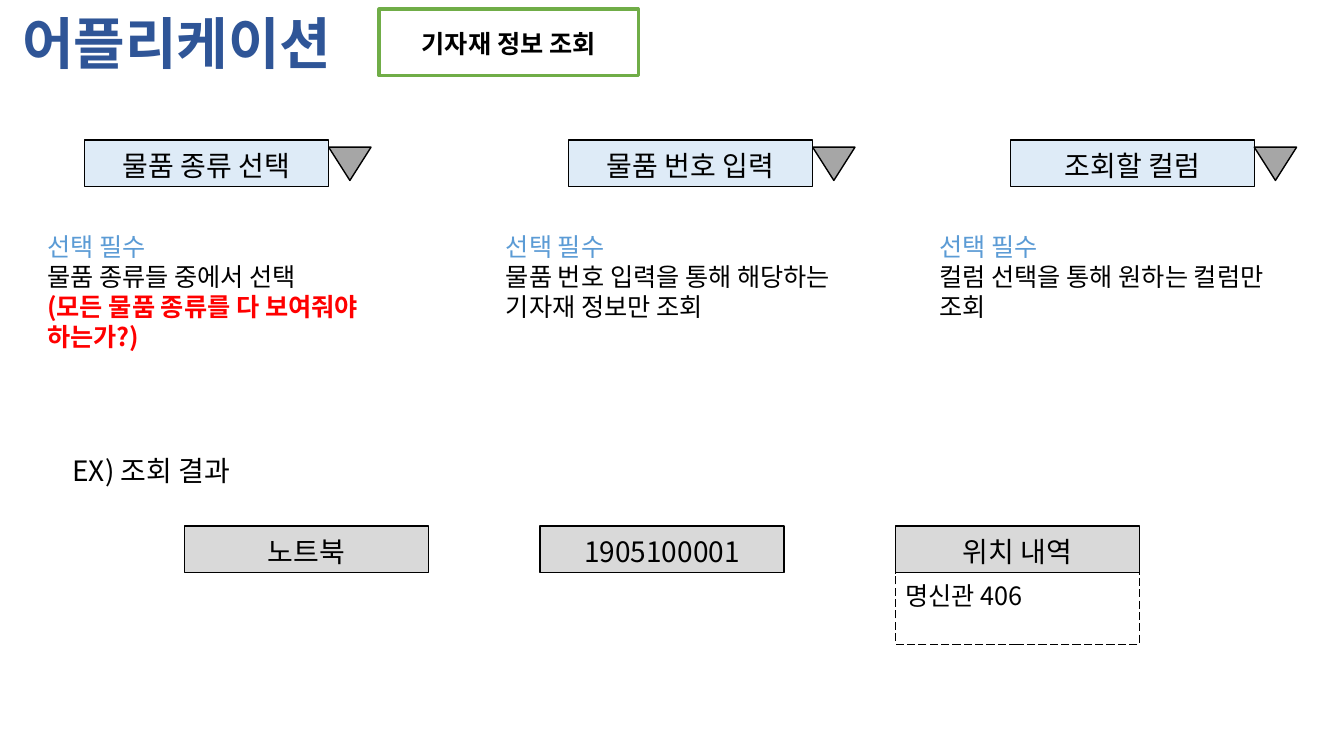
from lxml.etree import SubElement
from pptx import Presentation
from pptx.dml.color import RGBColor
from pptx.enum.dml import MSO_LINE
from pptx.enum.shapes import MSO_SHAPE
from pptx.enum.text import MSO_ANCHOR, MSO_AUTO_SIZE, PP_ALIGN
from pptx.oxml.ns import qn
from pptx.util import Inches, Pt

BLACK = RGBColor(0x00, 0x00, 0x00)
WHITE = RGBColor(0xFF, 0xFF, 0xFF)
NAVY = RGBColor(0x2F, 0x55, 0x97)
BLUE = RGBColor(0x5B, 0x9B, 0xD5)
PALE_BLUE = RGBColor(0xDE, 0xEB, 0xF7)
GREEN = RGBColor(0x70, 0xAD, 0x47)
RED = RGBColor(0xFF, 0x00, 0x00)
GRAY = RGBColor(0xA6, 0xA6, 0xA6)
LIGHT_GRAY = RGBColor(0xD9, 0xD9, 0xD9)

FIELD_WIDTH, FIELD_HEIGHT = 2.42, 0.46
FIELD_TOP, RESULT_TOP = 1.39, 5.22

FIELDS = [
    (0.84, "물품 종류 선택", 0.37, 3.76,
     [("물품 종류들 중에서 선택", BLACK, False),
      ("(모든 물품 종류를 다 보여줘야 하는가?)", RED, True)]),
    (5.64, "물품 번호 입력", 4.92, 3.86,
     [("물품 번호 입력을 통해 해당하는 기자재 정보만 조회", BLACK, False)]),
    (10.02, "조회할 컬럼", 9.22, 3.86,
     [("컬럼 선택을 통해 원하는 컬럼만 조회", BLACK, False)]),
]
RESULTS = ["노트북", "1905100001", "위치 내역"]
RESULT_LEFT, RESULT_RIGHT = 1.83, 8.88
RESULT_STEP = (RESULT_RIGHT - RESULT_LEFT) / (len(RESULTS) - 1)


class SlideBuilder:
    font_name = "Noto Sans CJK KR"
    line_factor = 1.2

    def __init__(self, page):
        self.page = page

    def fill_text(self, box, lines, size, align=PP_ALIGN.LEFT, anchor=MSO_ANCHOR.TOP):
        frame = box.text_frame
        frame.word_wrap = True
        frame.auto_size = MSO_AUTO_SIZE.NONE
        frame.vertical_anchor = anchor
        frame.margin_left = frame.margin_right = Inches(0.1)
        frame.margin_top, frame.margin_bottom = Inches(0.08), Inches(0.05)
        for index, (text, color, bold) in enumerate(lines):
            para = frame.add_paragraph() if index else frame.paragraphs[0]
            para.text = text
            para.alignment = align
            para.line_spacing = Pt(size * self.line_factor)
            para.space_before = para.space_after = Pt(0)
            font = para.font
            font.size, font.bold, font.name = Pt(size), bold, self.font_name
            font.color.rgb = color
            properties = para._p.pPr.find(qn("a:defRPr"))
            SubElement(properties, qn("a:ea")).set("typeface", self.font_name)

    def title(self, text, left, top, width, height):
        box = self.page.shapes.title
        box.left, box.top = Inches(left), Inches(top)
        box.width, box.height = Inches(width), Inches(height)
        self.fill_text(box, [(text, NAVY, True)], 40)

    def text(self, lines, left, top, width, height, size):
        box = self.page.shapes.add_textbox(
            Inches(left), Inches(top), Inches(width), Inches(height))
        self.fill_text(box, lines, size)

    def shape(self, kind, left, top, width, height, fill, line=BLACK, weight=1):
        box = self.page.shapes.add_shape(
            kind, Inches(left), Inches(top), Inches(width), Inches(height))
        box.shadow.inherit = False
        if fill is None:
            box.fill.background()
        else:
            box.fill.solid()
            box.fill.fore_color.rgb = fill
        box.line.color.rgb = line
        box.line.width = Pt(weight)
        return box

    def field(self, text, left, top, fill):
        box = self.shape(MSO_SHAPE.RECTANGLE, left, top,
                         FIELD_WIDTH, FIELD_HEIGHT, fill)
        self.fill_text(box, [(text, BLACK, False)], 20,
                       PP_ALIGN.CENTER, MSO_ANCHOR.MIDDLE)

    def badge(self, text, left, top, width, height):
        box = self.shape(MSO_SHAPE.FLOWCHART_PROCESS, left, top, width, height,
                         WHITE, GREEN, 2.25)
        self.fill_text(box, [(text, BLACK, True)], 18,
                       PP_ALIGN.CENTER, MSO_ANCHOR.MIDDLE)

    def dropdown_arrow(self, left, top):
        arrow = self.shape(MSO_SHAPE.FLOWCHART_EXTRACT, left, top, 0.42, 0.33, GRAY)
        arrow.rotation = 180

    def dashed_box(self, text, left, top, width, height):
        box = self.shape(MSO_SHAPE.RECTANGLE, left, top, width, height,
                         None, weight=0.75)
        box.line.dash_style = MSO_LINE.LONG_DASH
        self.fill_text(box, [(text, BLACK, False)], 18)


def main():
    deck = Presentation()
    deck.slide_width, deck.slide_height = Inches(13.33), Inches(7.5)
    builder = SlideBuilder(deck.slides.add_slide(deck.slide_layouts[5]))

    builder.title("어플리케이션", 0.12, 0, 3.57, 0.77)
    builder.badge("기자재 정보 조회", 3.76, 0.09, 2.57, 0.66)

    for left, label, note_left, note_width, details in FIELDS:
        builder.field(label, left, FIELD_TOP, PALE_BLUE)
        builder.dropdown_arrow(left + FIELD_WIDTH, FIELD_TOP + 0.07)
        note = [("선택 필수", BLUE, False)] + details
        builder.text(note, note_left, 2.21, note_width, 1.31, 18)

    builder.text([("EX) 조회 결과", BLACK, False)], 0.62, 4.42, 2.42, 0.44, 20)
    for index, label in enumerate(RESULTS):
        builder.field(label, RESULT_LEFT + index * RESULT_STEP, RESULT_TOP, LIGHT_GRAY)
    builder.dashed_box("명신관 406", RESULT_RIGHT, RESULT_TOP + FIELD_HEIGHT,
                       FIELD_WIDTH, 0.71)

    deck.save("out.pptx")


if __name__ == "__main__":
    main()
